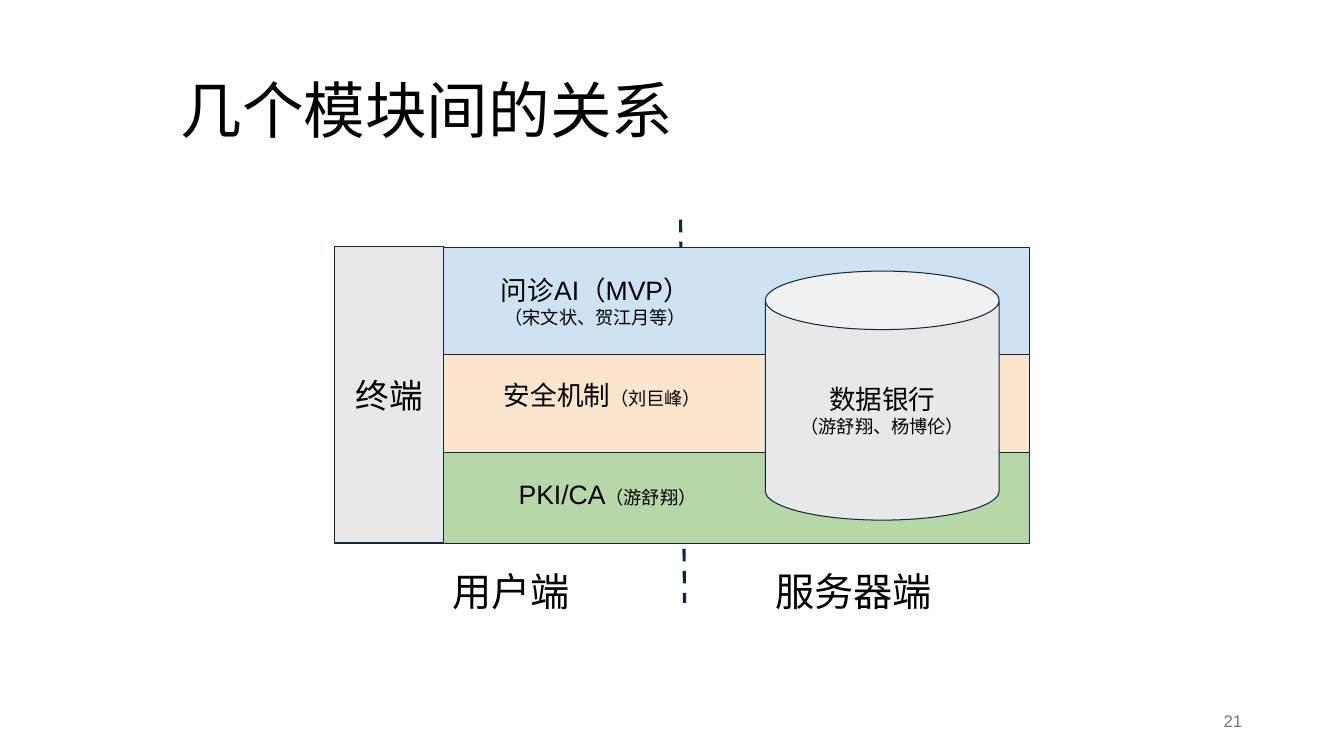
from lxml import etree
from pptx import Presentation
from pptx.dml.color import RGBColor
from pptx.enum.dml import MSO_LINE
from pptx.enum.shapes import MSO_CONNECTOR, MSO_SHAPE
from pptx.enum.text import MSO_ANCHOR, MSO_AUTO_SIZE, PP_ALIGN
from pptx.oxml.ns import qn
from pptx.util import Pt

PX = 9144  # EMU in one px, 100 px to the inch
RECT, CAN = MSO_SHAPE.RECTANGLE, MSO_SHAPE.CAN
LINE, DASH = MSO_CONNECTOR.STRAIGHT, MSO_LINE.DASH
TOP, MID = MSO_ANCHOR.TOP, MSO_ANCHOR.MIDDLE
LEFT, CENTER, RIGHT = PP_ALIGN.LEFT, PP_ALIGN.CENTER, PP_ALIGN.RIGHT
FIXED = MSO_AUTO_SIZE.NONE


def px(*vals):
    return [v * PX for v in vals]


def color(hex):
    return RGBColor.from_string(hex)


def write(shape, *paras, ink="000000", font="Arial", align=LEFT,
          anchor=TOP, pad=10, space=None):
    """Fill a shape with paragraphs, each a list of (text, size) runs."""
    frame = shape.text_frame
    frame.word_wrap = True
    frame.auto_size = FIXED
    frame.vertical_anchor = anchor
    frame.margin_left = frame.margin_right = 10 * PX
    frame.margin_top = frame.margin_bottom = pad * PX
    for i, runs in enumerate(paras):
        para = frame.add_paragraph() if i else frame.paragraphs[0]
        para.alignment = align
        if space:
            para.line_spacing = space
        for text, size in runs:
            run = para.add_run()
            run.text = text
            run.font.name = font
            run.font.size = Pt(size)
            run.font.color.rgb = color(ink)


class Board:
    navy = "0E2841"
    gray = "E8E8E8"

    def __init__(self, deck):
        self.slide = deck.slides.add_slide(deck.slide_layouts[5])
        self.shapes = self.slide.shapes

    def title(self, text, box):
        shape = self.shapes.title
        shape.left, shape.top, shape.width, shape.height = px(*box)
        write(shape, [(text, 44)], anchor=MID, pad=5, space=0.9)

    def label(self, box, *paras, **style):
        write(self.shapes.add_textbox(*px(*box)), *paras, **style)

    def block(self, kind, box, fill, *paras):
        shape = self.shapes.add_shape(kind, *px(*box))
        shape.shadow.inherit = False
        shape.fill.solid()
        shape.fill.fore_color.rgb = color(fill)
        shape.line.color.rgb = color(self.navy)
        shape.line.width = Pt(0.75)
        if paras:
            write(shape, *paras, align=CENTER, anchor=MID)

    def divide(self, *ends):
        line = self.shapes.add_connector(LINE, *px(*ends))
        line.line.color.rgb = color(self.navy)
        line.line.width = Pt(2.25)
        line.line.dash_style = DASH
        etree.SubElement(line._element.spPr, qn("a:effectLst"))


def main():
    deck = Presentation()
    deck.slide_width, deck.slide_height = px(1333, 750)
    board = Board(deck)
    board.title("几个模块间的关系", (169, 40, 1073, 145))
    board.label((942, 695, 300, 40), [("21", 12)], ink="757575",
                align=RIGHT, anchor=MID, pad=5)

    for left, side in ((439, "用户端"), (759, "服务器端")):
        board.label((left, 553, 192, 67), [(side, 28)])
    board.divide(675, 218, 679, 598)

    top = 246
    for high, fill in ((106, "CFE2F3"), (97, "FCE5CD"), (90, "B6D7A8")):
        board.block(RECT, (332, top, 689, high), fill)
        top += high

    board.block(CAN, (759, 269, 232, 247), board.gray,
                [("数据银行", 19)], [("（游舒翔、杨博伦）", 13)])
    board.label((422, 262, 337, 74), [("问诊AI（MVP）", 19)],
                [("（宋文状、贺江月等）", 13)], align=CENTER)
    board.label((429, 366, 337, 52),
                [("安全机制", 19), ("（刘巨峰）", 13)], align=CENTER)
    board.label((434, 464, 337, 52),
                [("PKI/CA", 19), ("（游舒翔）", 13)], align=CENTER)
    board.block(RECT, (332, 245, 108, 293), board.gray, [("终端", 24)])
    deck.save("out.pptx")


if __name__ == "__main__":
    main()
